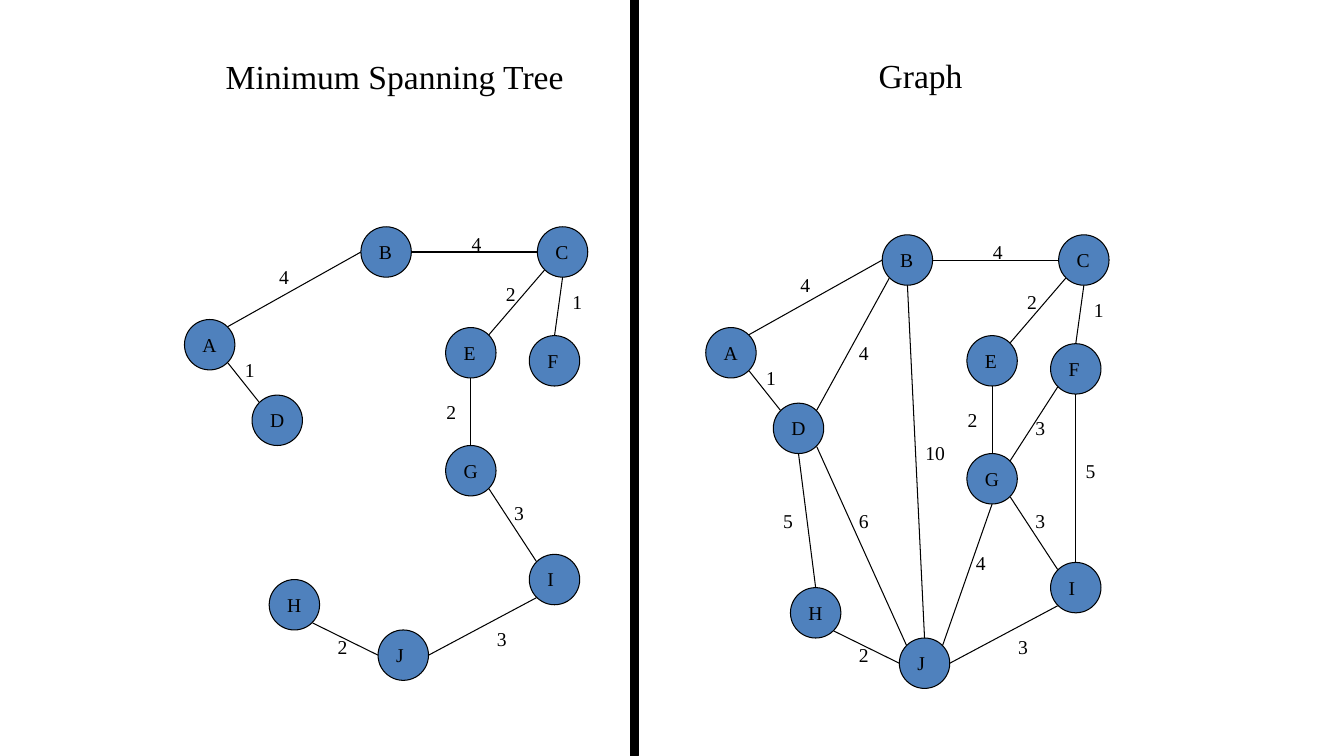
"""Build a slide that sets a minimum spanning tree beside its weighted graph."""
from lxml import etree
from pptx import Presentation
from pptx.dml.color import RGBColor
from pptx.enum.shapes import MSO_CONNECTOR, MSO_SHAPE
from pptx.enum.text import MSO_ANCHOR, MSO_AUTO_SIZE, PP_ALIGN
from pptx.oxml.ns import qn
from pptx.util import Inches, Pt

NODES = {
    "A": (1.83, 3.17, 0.34), "B": (3.58, 2.25, 0.33), "C": (5.33, 2.25, 0.33),
    "D": (2.5, 3.92, 0.34), "E": (4.42, 3.25, 0.32), "F": (5.25, 3.33, 0.31),
    "G": (4.42, 4.42, 0.34), "H": (2.67, 5.75, 0.34), "I": (5.25, 5.5, 0.27),
    "J": (3.75, 6.25, 0.28),
}
TREE = [
    ("A", "NE", "B", "W", "4", 2.67, 2.58),
    ("B", "E", "C", "W", "4", 4.58, 2.25),
    ("D", "NW", "A", "SE", "1", 2.33, 3.5),
    ("C", "SW", "E", "NE", "2", 4.92, 2.75),
    ("C", "S", "F", "N", "1", 5.58, 2.83),
    ("E", "S", "G", "N", "2", 4.33, 3.92),
    ("I", "NW", "G", "SE", "3", 5, 4.92),
    ("J", "E", "I", "SW", "3", 4.83, 6.17),
    ("J", "W", "H", "SE", "2", 3.25, 6.25),
]
EXTRA = [
    ("B", "SW", "D", "NE", "4", 3.25, 3.25),
    ("D", "SE", "J", "NW", "6", 3.25, 4.92),
    ("J", "NE", "G", "S", "4", 4.41, 5.34),
    ("F", "SW", "G", "NE", "3", 5, 4),
    ("B", "S", "J", "N", "10", 3.91, 4.25),
    ("F", "S", "I", "N", "5", 5.5, 4.42),
    ("D", "S", "H", "N", "5", 2.5, 4.92),
]
PANELS = [
    ("Minimum Spanning Tree", 2, 3.83, TREE, 0, 0),
    ("Graph", 7.67, 2.92, TREE + EXTRA, 5.17, 0.08),
]

BLUE = RGBColor(0x4F, 0x81, 0xBD)
BLACK = RGBColor(0, 0, 0)
FONT = "Times New Roman"
OVAL, RECT = MSO_SHAPE.OVAL, MSO_SHAPE.RECTANGLE
LINE = MSO_CONNECTOR.STRAIGHT
TOP, GROW = MSO_ANCHOR.TOP, MSO_AUTO_SIZE.SHAPE_TO_FIT_TEXT
LEFT, CENTER = PP_ALIGN.LEFT, PP_ALIGN.CENTER
SIZE, RADIUS, DIAG, PAD = 0.5, 0.25, 0.18, 0.08


def put_text(box, text, size, align, wrap):
    """Fill a text shape with one formatted run."""
    frame = box.text_frame
    frame.word_wrap = wrap
    frame.auto_size = GROW
    frame.vertical_anchor = TOP
    para = frame.paragraphs[0]
    para.alignment = align
    para.space_before = Pt(0)
    run = para.add_run()
    run.text = text
    font = run.font
    font.name, font.size, font.bold = FONT, Pt(size), False
    font.color.rgb = BLACK


def add_label(slide, text, x, y, width):
    """Add a small unwrapped label."""
    box = slide.shapes.add_textbox(*map(Inches, (x, y, width, 0.33)))
    put_text(box, text, 14, LEFT, False)


def add_solid(slide, kind, color, *area):
    """Add a filled shape with a thin black outline."""
    shape = slide.shapes.add_shape(kind, *map(Inches, area))
    shape.shadow.inherit = False
    shape.fill.solid()
    shape.fill.fore_color.rgb = color
    shape.line.color.rgb = BLACK
    shape.line.width = Pt(0.75)


def find_end(name, side, dx, dy):
    """Return the point where an edge meets the given side of a node."""
    x, y, _ = NODES[name]
    reach = DIAG if len(side) == 2 else RADIUS
    right = ("E" in side) - ("W" in side)
    down = ("S" in side) - ("N" in side)
    return x + dx + RADIUS + right * reach, y + dy + RADIUS + down * reach


def add_edge(slide, start, end):
    """Join two points with a thin line."""
    edge = slide.shapes.add_connector(LINE, *map(Inches, start + end))
    edge.line.color.rgb = BLACK
    edge.line.width = Pt(0.75)
    etree.SubElement(edge._element.spPr, qn("a:effectLst"))


def add_panel(slide, edges, dx, dy):
    """Draw the nodes, edges and weights of one network."""
    for x, y, _ in NODES.values():
        add_solid(slide, OVAL, BLUE, x + dx, y + dy, SIZE, SIZE)
    for a, out, b, into, weight, x, y in edges:
        add_edge(slide, find_end(a, out, dx, dy), find_end(b, into, dx, dy))
        add_label(slide, weight, x + dx, y + dy, 0.2 + 0.1 * len(weight))
    for name, (x, y, width) in NODES.items():
        add_label(slide, name, x + dx + PAD, y + dy + PAD, width)


def main():
    """Assemble and save the slide."""
    deck = Presentation()
    deck.slide_width, deck.slide_height = Inches(13.33), Inches(7.5)
    slide = deck.slides.add_slide(deck.slide_layouts[5])
    add_solid(slide, RECT, BLACK, 6.25, 0, 0.08, 7.5)
    head = slide.shapes.title
    for title, left, width, edges, dx, dy in PANELS:
        area = [Inches(n) for n in (left, 0.5, width, 0.5)]
        box = head or slide.shapes.add_textbox(*area)
        box.left, box.top, box.width, box.height = area
        put_text(box, title, 24, CENTER, True)
        head = None
        add_panel(slide, edges, dx, dy)
    deck.save("out.pptx")


if __name__ == "__main__":
    main()
